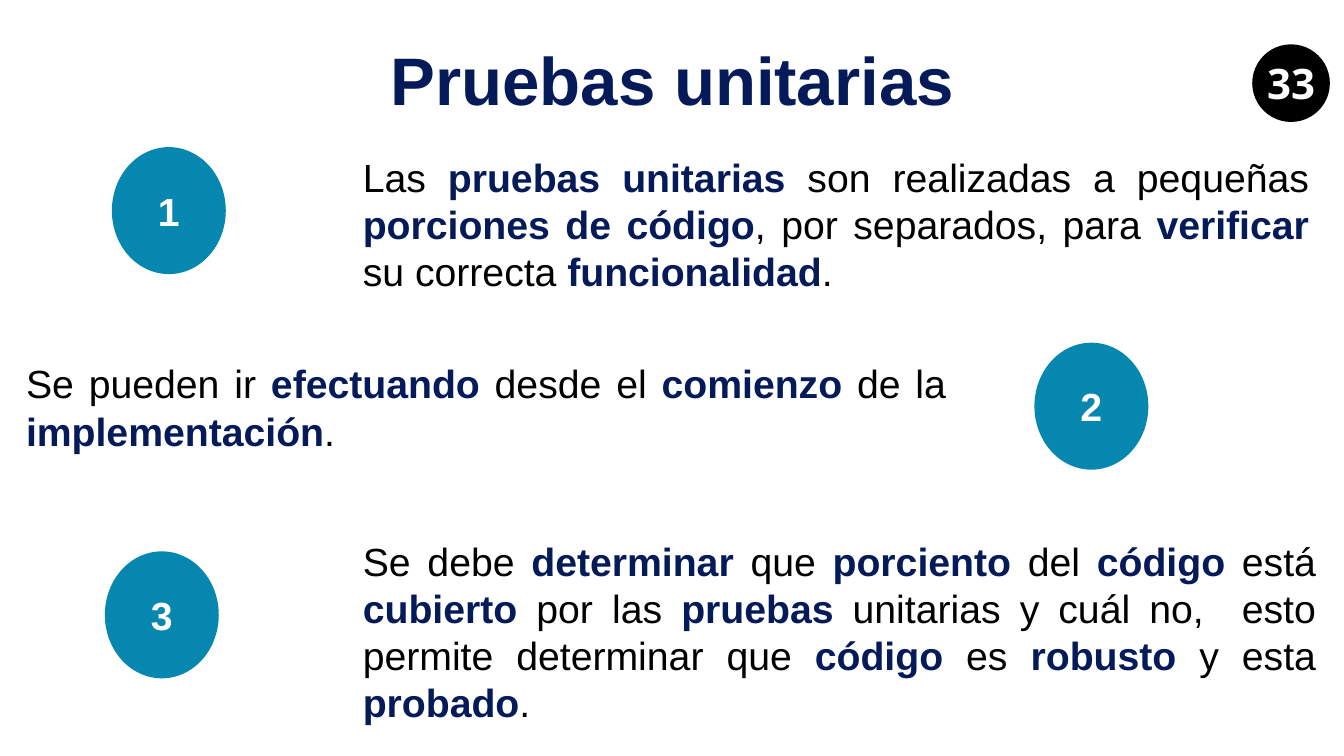
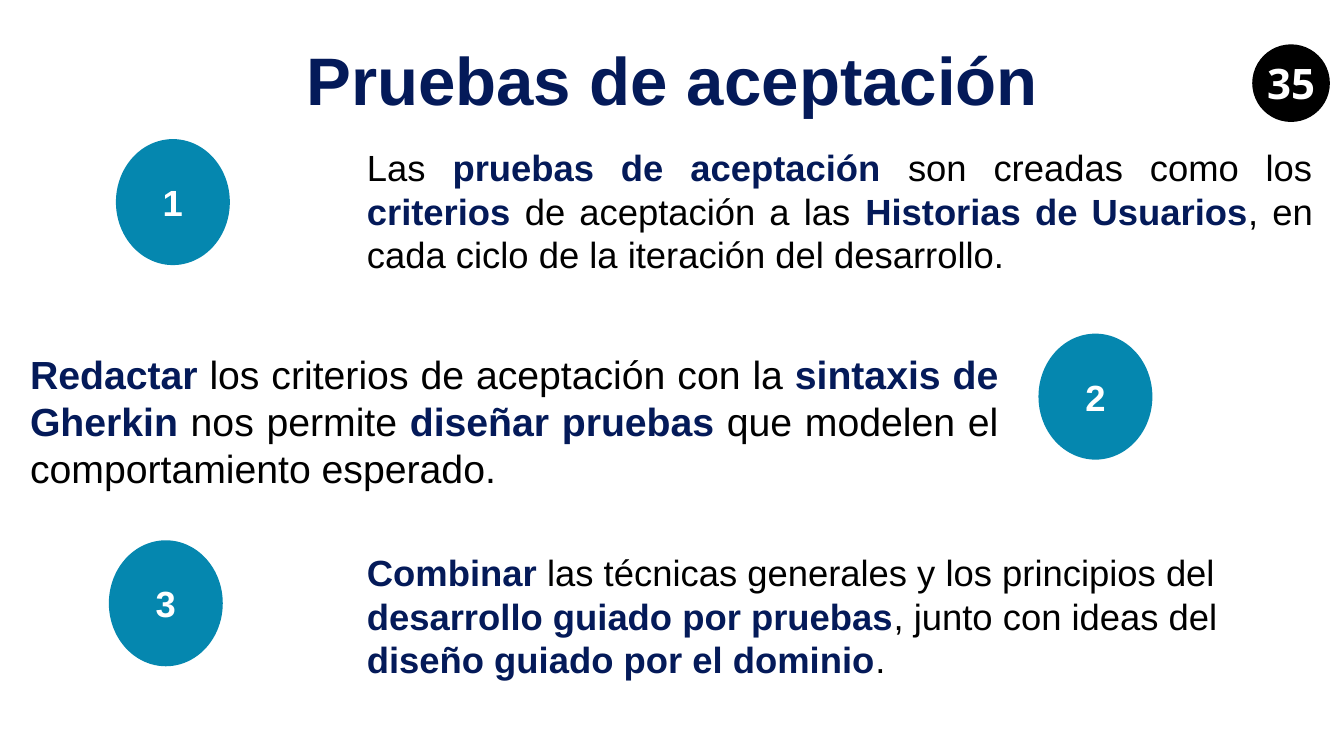
from pptx import Presentation
from pptx.dml.color import RGBColor as RGB
from pptx.enum.shapes import MSO_SHAPE as Shape
from pptx.enum.text import MSO_ANCHOR as Anchor, PP_ALIGN as Align
from pptx.util import Inches, Pt

COLORS = {"navy": "041A59", "teal": "0587AF", "black": "000000", "white": "FFFFFF"}

# Each point: text (left, top, width, height), size, alignment, disc (left, top), wording
# Words between asterisks are bold and navy
SLIDES = [
    ("Pruebas unitarias", "33", 28, 1.26, [
        ((3.5, 1.47, 9.58, 1.6), 28, Align.JUSTIFY, (1.11, 1.46),
         "Las *pruebas unitarias* son realizadas a pequeñas *porciones de código*, "
         "por separados, para *verificar* su correcta *funcionalidad*."),
        ((0.16, 3.52, 9.32, 1.14), 28, Align.JUSTIFY, (10.26, 3.4),
         "Se pueden ir *efectuando* desde el *comienzo* de la *implementación*."),
        ((3.5, 5.28, 9.65, 2.08), 28, Align.JUSTIFY, (1.04, 5.47),
         "Se debe *determinar *que *porciento* del *código* está *cubierto* por las "
         "*pruebas* unitarias y cuál no,  esto permite determinar que *código* es "
         "*robusto* y esta *probado*."),
    ]),
    ("Pruebas de aceptación", "35", 26, 1.25, [
        ((3.54, 1.39, 9.58, 1.58), 26, Align.JUSTIFY, (1.15, 1.38),
         "Las *pruebas de aceptación* son creadas como los *criterios* de aceptación "
         "a las *Historias de Usuarios*, en cada ciclo de la iteración del desarrollo."),
        ((0.2, 3.43, 9.8, 1.64), 28, Align.JUSTIFY, (10.3, 3.31),
         "*Redactar* los criterios de aceptación con la *sintaxis de Gherkin* nos "
         "permite *diseñar pruebas* que modelen el comportamiento esperado."),
        ((3.54, 5.41, 9.65, 2.07), 26, Align.LEFT, (1.08, 5.36),
         "*Combinar* las técnicas generales y los principios del *desarrollo guiado "
         "por pruebas*, junto con ideas del *diseño guiado por el dominio*."),
    ]),
]


def write(shape, text, size, color, align=Align.CENTER, face="Arial", bold=True):
    frame = shape.text_frame
    frame.word_wrap = True
    para = frame.paragraphs[0]
    para.alignment = align
    para.font.size = Pt(size)
    para.font.name = face
    para.font.bold = bold
    para.font.color.rgb = RGB.from_string(COLORS[color])
    for i, part in enumerate(text.split("*")):
        if part:
            run = para.add_run()
            run.text = part
            if i % 2:
                run.font.bold = True
                run.font.color.rgb = RGB.from_string(COLORS["navy"])
    return frame


def disc(slide, box, fill, text, size, face="Arial"):
    oval = slide.shapes.add_shape(Shape.OVAL, *map(Inches, box))
    oval.shadow.inherit = False
    oval.fill.solid()
    oval.fill.fore_color.rgb = RGB.from_string(COLORS[fill])
    oval.line.fill.background()
    frame = write(oval, text, size, "white", face=face)
    frame.vertical_anchor = Anchor.MIDDLE
    frame.margin_left = frame.margin_right = 0
    frame.margin_top = frame.margin_bottom = Inches(0.05)


deck = Presentation()
deck.slide_width, deck.slide_height = Inches(13.33), Inches(7.5)

for title, page, size, tall, points in SLIDES:
    slide = deck.slides.add_slide(deck.slide_layouts[6])

    # Page number and title
    disc(slide, (12.42, 0.44, 0.77, 0.77), "black", page, 30, "Open Sans")
    head = slide.shapes.add_textbox(*map(Inches, (1.55, 0.4, 10.24, 0.75)))
    frame = write(head, title, 48, "navy")
    frame.vertical_anchor = Anchor.MIDDLE
    frame.margin_left = frame.margin_right = 0
    frame.margin_top = frame.margin_bottom = 0

    # Numbered points
    for n, (box, pts, align, spot, text) in enumerate(points, 1):
        body = slide.shapes.add_textbox(*map(Inches, box))
        write(body, text, pts, "black", align, bold=False)
        disc(slide, (*spot, 1.13, tall), "teal", str(n), size)

deck.save("out.pptx")
